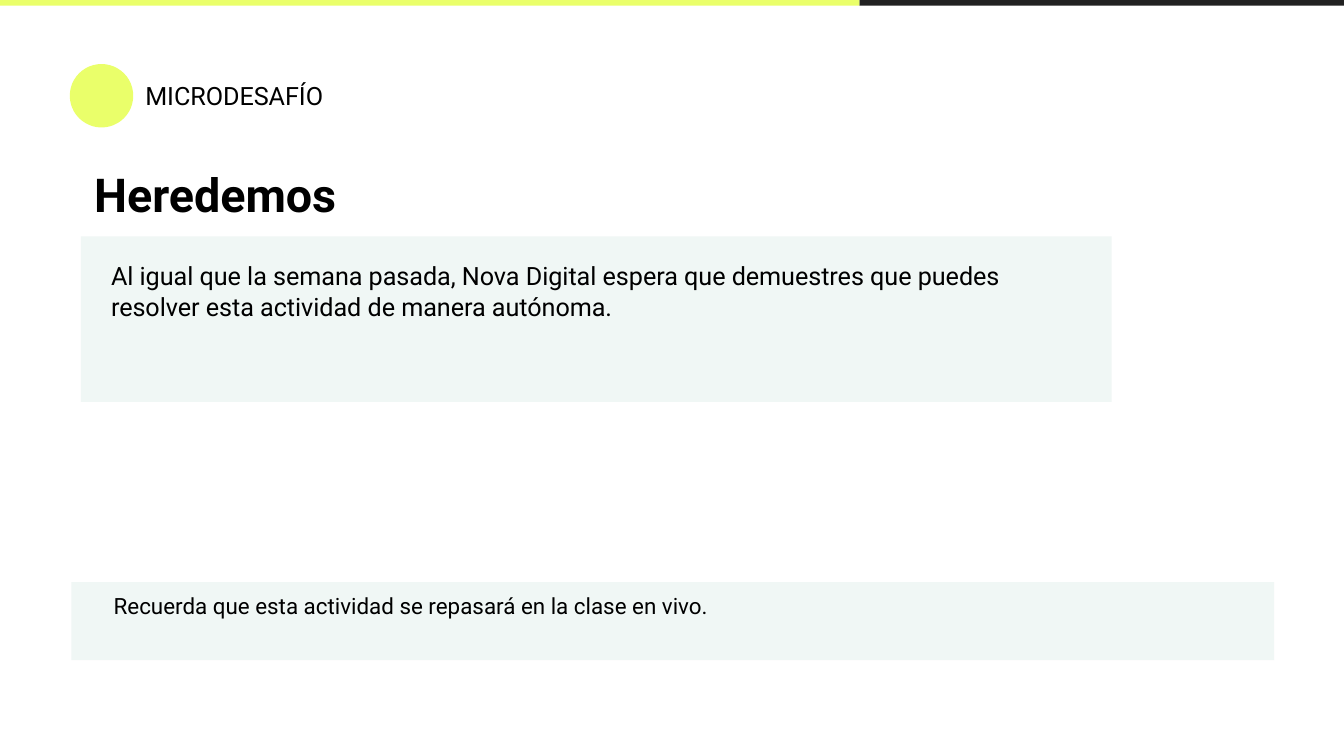
from pptx import Presentation
from pptx import util as u
from pptx.dml.color import RGBColor
from pptx.enum import shapes, text

COLORS = {"lime": "EAFF6A", "dark": "212121", "panel": "F0F7F5", "ink": "000000"}
FONT = "Roboto"
INSET = 7.2
RECT, OVAL = shapes.MSO_SHAPE.RECTANGLE, shapes.MSO_SHAPE.OVAL

SHAPES = [
    (RECT, "panel", (43.4, 126.7, 552.2, 88.6)),
    (RECT, "panel", (38.2, 311.8, 644.4, 41.8)),
    (RECT, "dark", (460.4, -0.6, 259.6, 3.6)),
    (RECT, "lime", (0, -0.6, 460.4, 3.6)),
    (OVAL, "lime", (37.4, 34.3, 34, 34)),
]
TEXTS = [
    ("MICRODESAFÍO", (70.8, 36, 236.2, 31), 13.5, False, 1),
    ("Heredemos", (43.4, 85, 578.9, 41.8), 25, True, 0.9),
    ("Al igual que la semana pasada, Nova Digital espera que demuestres "
     "que puedes resolver esta actividad de manera autónoma.",
     (52.4, 132.5, 535, 47.5), 13.5, False, 1),
    ("Recuerda que esta actividad se repasará en la clase en vivo.",
     (53.8, 310.3, 481.7, 28.8), 12, False, 1),
]


def rgb(name):
    return RGBColor.from_string(COLORS[name])


def add_block(s, kind, color, box):
    sp = s.shapes.add_shape(kind, *map(u.Pt, box))
    sp.shadow.inherit = False
    sp.fill.solid()
    sp.fill.fore_color.rgb = rgb(color)
    sp.line.fill.background()


def add_label(s, words, box, size, bold, spacing):
    tf = s.shapes.add_textbox(*map(u.Pt, box)).text_frame
    tf.text = words
    tf.word_wrap = True
    tf.auto_size = text.MSO_AUTO_SIZE.SHAPE_TO_FIT_TEXT
    tf.margin_left = tf.margin_right = u.Pt(INSET)
    tf.margin_top = tf.margin_bottom = u.Pt(INSET)
    p = tf.paragraphs[0]
    p.line_spacing = spacing
    r = p.runs[0]
    r.font.name, r.font.size, r.font.bold = FONT, u.Pt(size), bold
    r.font.color.rgb = rgb("ink")


def main():
    prs = Presentation()
    prs.slide_width, prs.slide_height = u.Pt(720), u.Pt(405)
    s = prs.slides.add_slide(prs.slide_layouts[6])
    for block in SHAPES:
        add_block(s, *block)
    for label in TEXTS:
        add_label(s, *label)
    prs.save("out.pptx")


if __name__ == "__main__":
    main()
